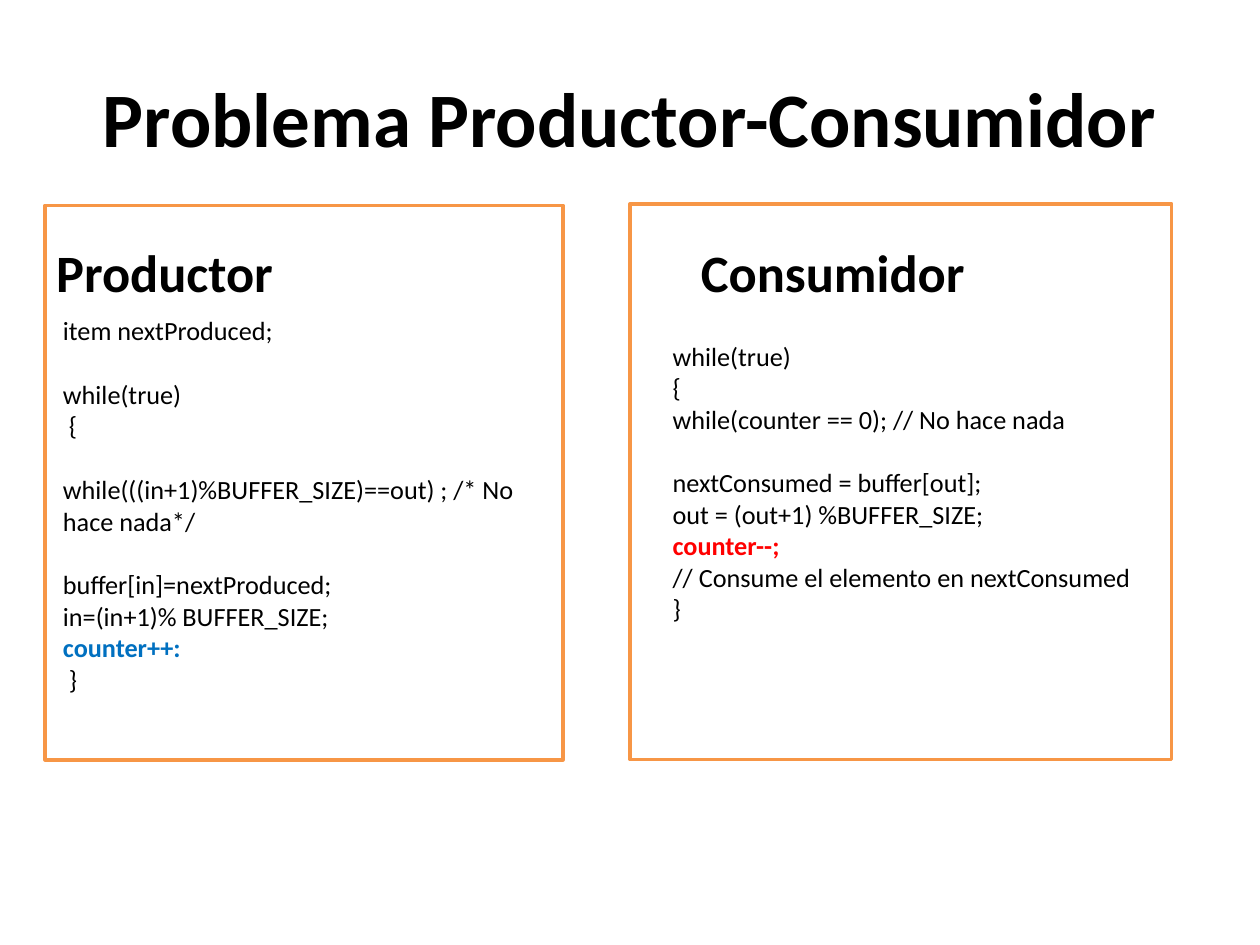
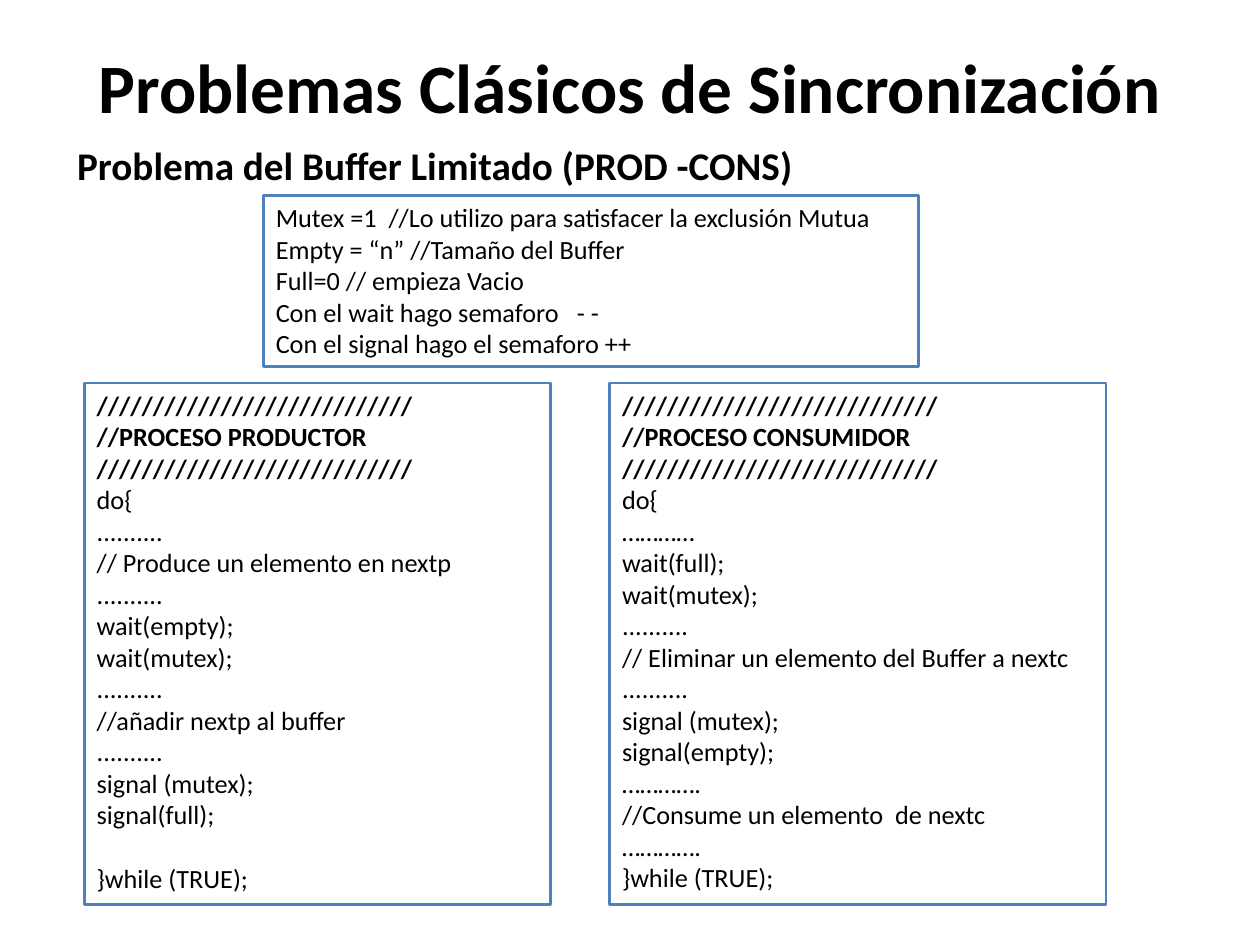
"""Builds two slides on the producer-consumer problem and its semaphore solution."""
from dataclasses import dataclass
from typing import NamedTuple

from lxml import etree
from pptx import Presentation
from pptx import util as u
from pptx.dml.color import RGBColor
from pptx.enum import shapes, text
from pptx.oxml import ns

COLOURS = {
    "ink": "000000",
    "frame": "F79646",
    "listing": "4F81BD",
    "increment": "0070C0",
    "decrement": "FF0000",
}
FONT = "Calibri"
CODE_SIZE = 15
CODE_LINE = 18.3
BANNER = "/" * 28
DOTS = "." * 10
DASHES_TAB = u.Cm(6.07)


class Box(NamedTuple):
    left: float
    top: float
    width: float
    height: float

    def lengths(self) -> tuple:
        return tuple(u.Cm(side) for side in self)


@dataclass(frozen=True)
class Line:
    words: str
    colour: str = "ink"
    bold: bool = False
    gap: bool = False


@dataclass(frozen=True)
class Process:
    name: str
    name_box: Box
    frame_box: Box
    frame_width: float
    code_box: Box
    code: tuple


@dataclass(frozen=True)
class Listing:
    box: Box
    code: tuple


def heading(words: str) -> tuple:
    return tuple(Line(row, bold=True) for row in (BANNER, words, BANNER))


def plain(*rows: str) -> tuple:
    return tuple(Line(row) for row in rows)


PROCESSES = (
    Process(
        "Consumidor", Box(13.69, 3.89, 6.2, 3.18), Box(12.7, 4.11, 10.92, 11.2), 2,
        Box(13.31, 6.73, 12.7, 6.02),
        (
            *plain("while(true)", "{", "while(counter == 0); // No hace nada"),
            Line("nextConsumed = buffer[out];", gap=True),
            Line("out = (out+1) %BUFFER_SIZE;"),
            Line("counter--;", "decrement", bold=True),
            *plain("// Consume el elemento en nextConsumed", "}"),
        ),
    ),
    Process(
        "Productor", Box(0.74, 4.11, 5.16, 2.74), Box(0.91, 4.14, 10.44, 11.18), 2,
        Box(1.02, 6.22, 10.49, 7.95),
        (
            Line("item nextProduced;"),
            Line("while(true)", gap=True),
            Line(" {"),
            Line("while(((in+1)%BUFFER_SIZE)==out) ; /* No hace nada*/", gap=True),
            Line("buffer[in]=nextProduced;", gap=True),
            Line("in=(in+1)% BUFFER_SIZE;"),
            Line("counter++:", "increment", bold=True),
            Line(" }"),
        ),
    ),
)

LISTINGS = (
    Listing(
        Box(1.7, 7.72, 9.4, 10.52),
        (
            *heading("//PROCESO PRODUCTOR"),
            *plain("do{", DOTS, "// Produce un elemento en nextp", DOTS,
                   "wait(empty);", "wait(mutex);", DOTS,
                   "//añadir nextp al buffer", DOTS,
                   "signal (mutex);", "signal(full);"),
            Line("}while (TRUE);", gap=True),
        ),
    ),
    Listing(
        Box(12.29, 7.72, 10.01, 10.52),
        (
            *heading("//PROCESO CONSUMIDOR"),
            *plain("do{", "…………", "wait(full);", "wait(mutex);", DOTS,
                   "// Eliminar un elemento del Buffer a nextc", DOTS,
                   "signal (mutex);", "signal(empty);", "………….",
                   "//Consume un elemento  de nextc", "………….",
                   "}while (TRUE);"),
        ),
    ),
    Listing(
        Box(5.31, 3.94, 13.21, 3.45),
        plain("Mutex =1  //Lo utilizo para satisfacer la exclusión Mutua",
              "Empty = “n” //Tamaño del Buffer",
              "Full=0 // empieza Vacio",
              "Con el wait hago semaforo\t- -",
              "Con el signal hago el semaforo ++"),
    ),
)


def style(paragraph, size: float, colour: str = "ink", bold: bool = False) -> None:
    """Sets the font of a whole paragraph."""
    font = paragraph.font
    font.name, font.size, font.bold = FONT, u.Pt(size), bold
    font.color.rgb = RGBColor.from_string(COLOURS[colour])


def place(shape, box: Box) -> None:
    """Moves a placeholder to its box."""
    shape.left, shape.top, shape.width, shape.height = box.lengths()


def add_tab(paragraph, position: int) -> None:
    """Gives a paragraph one left tab stop."""
    stops = etree.SubElement(paragraph._p.get_or_add_pPr(), ns.qn("a:tabLst"))
    etree.SubElement(stops, ns.qn("a:tab"), pos=str(int(position)), algn="l")


def write_title(slide, words: str, top: float, size: float) -> None:
    """Fills the title placeholder."""
    title = slide.shapes.title
    place(title, Box(1.27, top, 22.86, 3.18))
    write_heading(title.text_frame, words, size)


def write_heading(frame, words: str, size: float) -> None:
    """Writes one bold line centred in its frame."""
    frame.text = words
    frame.word_wrap = True
    frame.auto_size = text.MSO_AUTO_SIZE.NONE
    frame.vertical_anchor = text.MSO_ANCHOR.MIDDLE
    frame.paragraphs[0].alignment = text.PP_ALIGN.CENTER
    style(frame.paragraphs[0], size, bold=True)


def write_subtitle(slide, words: str) -> None:
    """Fills the body placeholder with one line without a bullet."""
    body = slide.placeholders[1]
    place(body, Box(1.3, 2.72, 15.19, 1.8))
    frame = body.text_frame
    frame.text = words
    frame.auto_size = text.MSO_AUTO_SIZE.NONE
    paragraph = frame.paragraphs[0]
    paragraph.space_before = u.Pt(0)
    properties = paragraph._p.get_or_add_pPr()
    properties.set("marL", "0")
    properties.set("indent", "0")
    etree.SubElement(properties, ns.qn("a:buNone"))
    style(paragraph, 22.4, bold=True)


def write_code(frame, code: tuple) -> None:
    """Writes code lines, with a line of space before those that have a gap."""
    frame.word_wrap = True
    frame.auto_size = text.MSO_AUTO_SIZE.SHAPE_TO_FIT_TEXT
    frame.vertical_anchor = text.MSO_ANCHOR.TOP
    for index, line in enumerate(code):
        paragraph = frame.add_paragraph() if index else frame.paragraphs[0]
        paragraph.text = line.words
        paragraph.alignment = text.PP_ALIGN.LEFT
        if line.gap:
            paragraph.space_before = u.Pt(CODE_LINE)
        if "\t" in line.words:
            add_tab(paragraph, DASHES_TAB)
        style(paragraph, CODE_SIZE, line.colour, line.bold)


def add_frame(slide, box: Box, colour: str, width: float):
    """Adds an unfilled rectangle with a coloured outline."""
    outline = slide.shapes.add_shape(shapes.MSO_SHAPE.RECTANGLE, *box.lengths())
    outline.shadow.inherit = False
    outline.fill.background()
    outline.line.color.rgb = RGBColor.from_string(COLOURS[colour])
    outline.line.width = u.Pt(width)
    return outline


def add_process(slide, process: Process) -> None:
    """Adds a framed process with its name and code."""
    code = slide.shapes.add_textbox(*process.code_box.lengths())
    write_code(code.text_frame, process.code)
    name = slide.shapes.add_textbox(*process.name_box.lengths())
    write_heading(name.text_frame, process.name, 30)
    add_frame(slide, process.frame_box, "frame", process.frame_width)


def add_listing(slide, listing: Listing) -> None:
    """Adds a code listing inside an outline."""
    outline = add_frame(slide, listing.box, "listing", 1.5)
    write_code(outline.text_frame, listing.code)


def main() -> None:
    """Builds and saves the presentation."""
    deck = Presentation()
    deck.slide_width, deck.slide_height = u.Cm(25.4), u.Cm(19.05)

    problem = deck.slides.add_slide(deck.slide_layouts[5])
    write_title(problem, "Problema Productor-Consumidor", 0.76, 44)
    for process in PROCESSES:
        add_process(problem, process)

    solution = deck.slides.add_slide(deck.slide_layouts[1])
    write_title(solution, "Problemas Clásicos de Sincronización", 0.13, 39.6)
    write_subtitle(solution, "Problema del Buffer Limitado (PROD -CONS)")
    for listing in LISTINGS:
        add_listing(solution, listing)

    deck.save("out.pptx")


if __name__ == "__main__":
    main()
